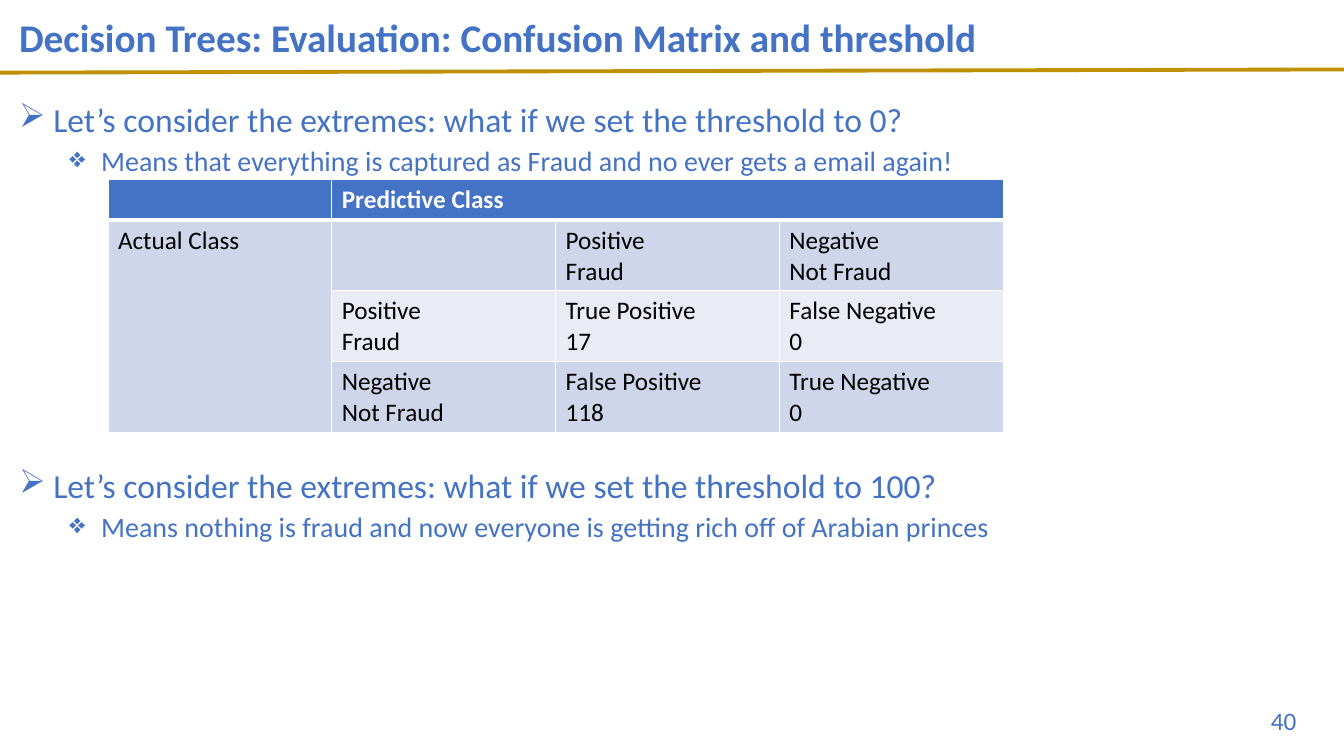
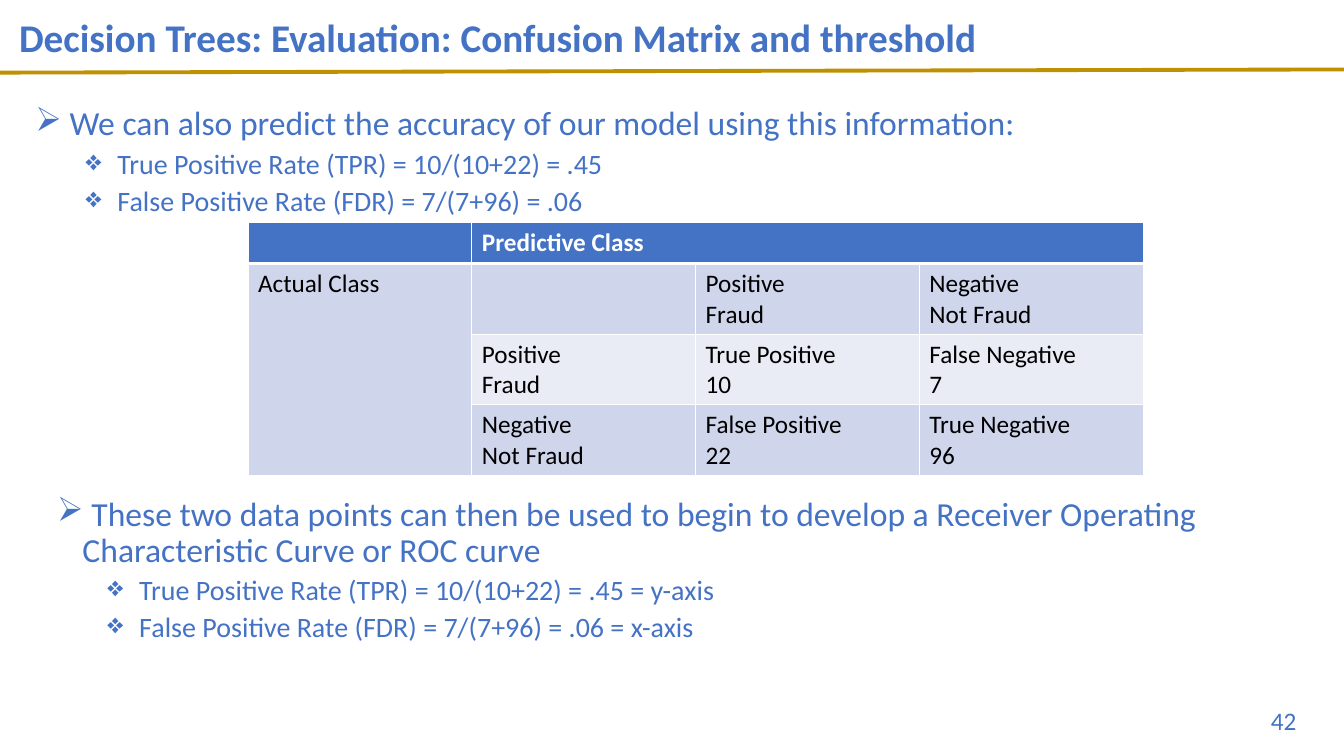
from pptx import Presentation
from pptx.dml.color import RGBColor as Rgb
from pptx.enum.shapes import MSO_CONNECTOR as Conn
from pptx.enum.text import MSO_ANCHOR as Anchor, PP_ALIGN as Align
from pptx.oxml.ns import qn
from pptx.util import Cm, Pt
from lxml.etree import SubElement as Sub

# Shared look
HUES = {"text": "4472C4", "rule": "BF9000", "head": "4472C4", "dark": "CFD5EA",
        "light": "E9EBF5", "white": "FFFFFF", "black": "000000"}
FONTS = {
    "title": {"size": Pt(28), "bold": True},
    "main": {"size": Pt(24)},
    "sub": {"size": Pt(20)},
    "cell": {"size": Pt(18), "bold": False},
    "head": {"size": Pt(18), "bold": True},
    "page": {"size": Pt(18)},
}
PARAS = {
    "title": {"line_spacing": 0.9},
    "main": {"line_spacing": 0.9, "space_before": Pt(10)},
    "sub": {"line_spacing": 0.9, "space_before": Pt(5), "level": 1},
    "page": {"alignment": Align.RIGHT},
}
MARKS = {"main": ("\u27a2", Cm(0.64)), "sub": ("\u2756", Cm(1.91))}
HANG = Cm(0.64)
TITLE = "Decision Trees: Evaluation: Confusion Matrix and threshold"
POS, NEG = "Positive\nFraud", "Negative\nNot Fraud"


def color(key):
    return Rgb.from_string(HUES[key])


def apply(item, values):
    for name, value in values.items():
        setattr(item, name, value)


def write(para, text, kind, hue="text"):
    """Fill one paragraph in a named style, with its bullet if it has one."""
    apply(para, PARAS.get(kind, {}))
    run = para.add_run()
    run.text = text
    apply(run.font, {"name": "Calibri", **FONTS[kind]})
    run.font.color.rgb = color(hue)
    if kind in MARKS:
        mark, left = MARKS[kind]
        props = para._p.get_or_add_pPr()
        props.set("marL", str(left))
        props.set("indent", str(-HANG))
        Sub(props, qn("a:buChar"), char=mark)


def add_text(slide, box, lines, anchor=Anchor.TOP):
    """Text box from (kind, text) pairs."""
    frame = slide.shapes.add_textbox(*map(Cm, box)).text_frame
    apply(frame, {"word_wrap": True, "vertical_anchor": anchor})
    for i, (kind, text) in enumerate(lines):
        para = frame.add_paragraph() if i else frame.paragraphs[0]
        write(para, text, kind)


def add_points(slide, box, main, *subs):
    # The bullet marks need a space between them and the words
    lines = [("main", main)] + [("sub", sub) for sub in subs]
    add_text(slide, box, [(kind, " " + text) for kind, text in lines])


def add_rule(slide):
    rule = slide.shapes.add_connector(Conn.STRAIGHT, 0, Cm(1.83), Cm(33.87), Cm(1.75))
    rule.line.color.rgb = color("rule")
    rule.line.width = Pt(2.75)
    Sub(rule._element.spPr, qn("a:effectLst"))


def add_edges(cell, row):
    """White cell borders, thick under the header row."""
    props = cell._tc.get_or_add_tcPr()
    wide = {0: "B", 1: "T"}.get(row)
    for side in "LRTB":
        edge = Sub(props, qn("a:ln" + side), w=str(Pt(3 if side == wide else 1)))
        Sub(Sub(edge, qn("a:solidFill")), qn("a:srgbClr"), val=HUES["white"])


def add_matrix(slide, left, top, counts):
    """Confusion matrix; counts are TP, FN, FP, TN."""
    tp, fn, fp, tn = counts
    rows = [
        ["", "Predictive Class", "", ""],
        ["Actual Class", "", POS, NEG],
        ["", POS, f"True Positive\n{tp}", f"False Negative\n{fn}"],
        ["", NEG, f"False Positive\n{fp}", f"True Negative\n{tn}"],
    ]
    table = slide.shapes.add_table(4, 4, Cm(left), Cm(top), Cm(22.58), Cm(6.37)).table
    for col in table.columns:
        col.width = Cm(5.64)
    for r, texts in enumerate(rows):
        table.rows[r].height = Cm(1.78 if r else 1.03)
        kind, hue = ("cell", "black") if r else ("head", "white")
        for c, text in enumerate(texts):
            cell = table.cell(r, c)
            add_edges(cell, r)
            cell.fill.solid()
            band = "light" if r == 2 and c else "dark"
            cell.fill.fore_color.rgb = color(band if r else "head")
            frame = cell.text_frame
            for i, line in enumerate(text.split("\n") if text else []):
                para = frame.add_paragraph() if i else frame.paragraphs[0]
                write(para, line, kind, hue)
    table.cell(0, 1).merge(table.cell(0, 3))
    table.cell(1, 0).merge(table.cell(3, 0))


def add_slide(deck, page):
    """Blank slide with the shared rule, title and page number."""
    slide = deck.slides.add_slide(deck.slide_layouts[6])
    add_rule(slide)
    add_text(slide, (0.23, 0, 29.21, 2.03), [("title", TITLE)], Anchor.MIDDLE)
    add_text(slide, (25.3, 17.65, 7.62, 1.02), [("page", str(page))])
    return slide


def main():
    deck = Presentation()
    apply(deck, {"slide_width": Cm(33.87), "slide_height": Cm(19.05)})

    # Extreme thresholds
    slide = add_slide(deck, 40)
    ask = "Let’s consider the extremes: what if we set the threshold to "
    add_matrix(slide, 2.72, 4.52, (17, 0, 118, 0))
    add_points(slide, (0.23, 2.49, 29.21, 2.03), ask + "0?",
               "Means that everything is captured as Fraud and no ever gets a email again!")
    add_points(slide, (0.23, 11.71, 29.21, 2.03), ask + "100?",
               "Means nothing is fraud and now everyone is getting rich off of Arabian princes")

    # Rates and the ROC curve
    slide = add_slide(deck, 42)
    tpr = "True Positive Rate (TPR) = 10/(10+22) = .45"
    fdr = "False Positive Rate (FDR) = 7/(7+96) = .06"
    add_matrix(slide, 6.25, 5.61, (10, 7, 22, 96))
    add_points(slide, (0.64, 2.57, 32.69, 4.17),
               "We can also predict the accuracy of our model using this information:", tpr, fdr)
    add_points(slide, (1.19, 12.4, 32.69, 4.17),
               "These two data points can then be used to begin to develop a Receiver "
               "Operating Characteristic Curve or ROC curve",
               tpr + " = y-axis", fdr + " = x-axis")

    deck.save("out.pptx")


main()
